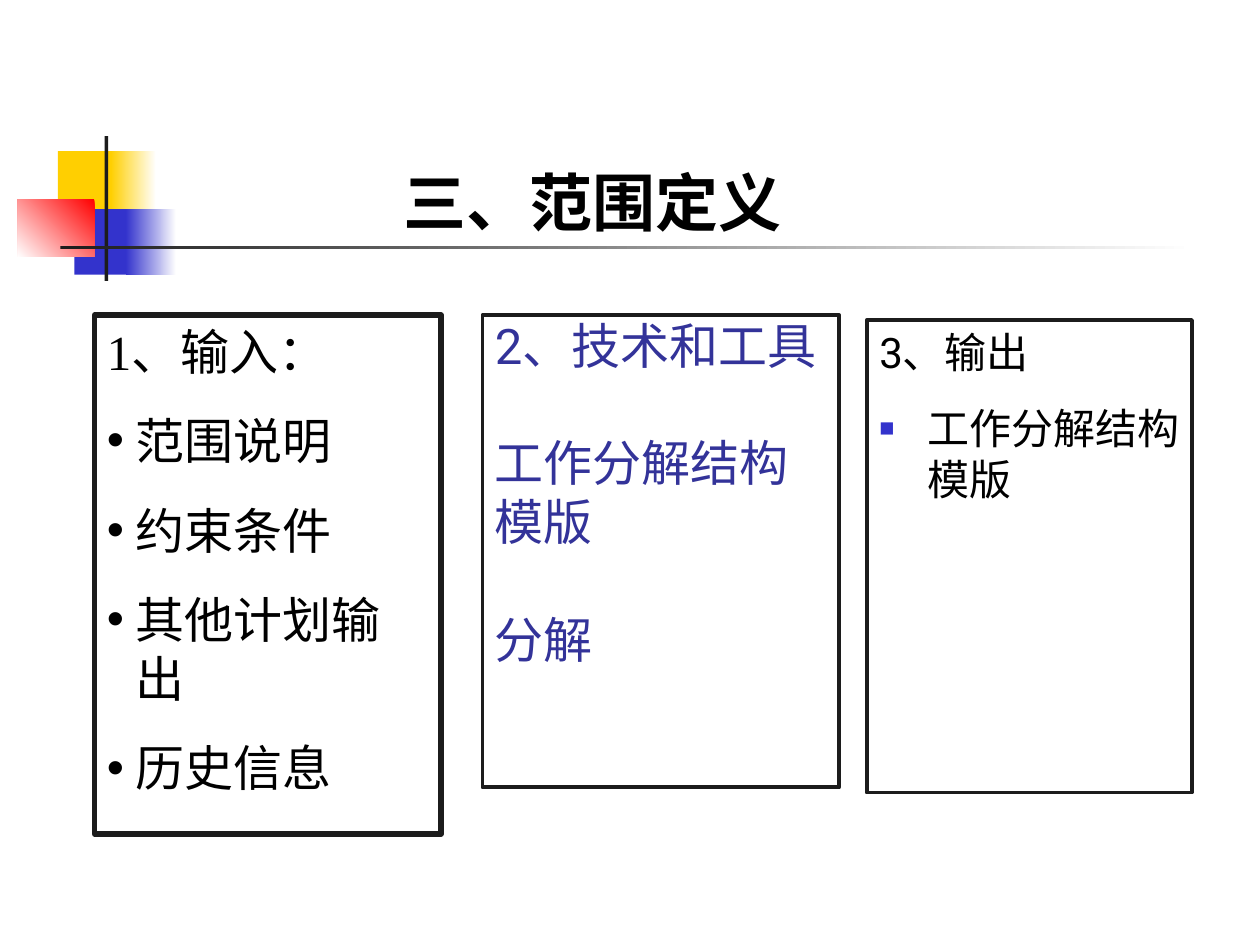
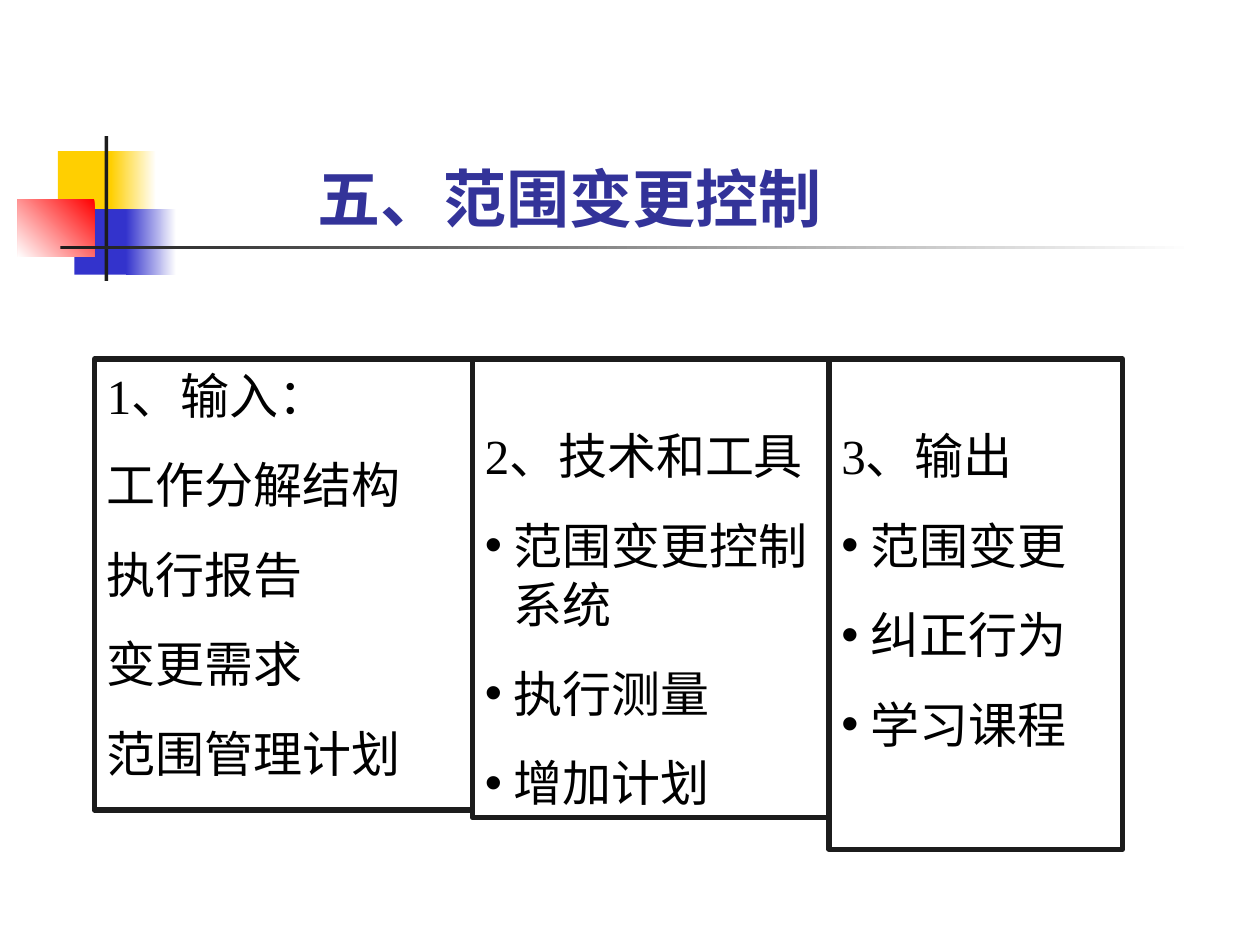
from lxml.etree import SubElement
from pptx import Presentation
from pptx.dml.color import RGBColor
from pptx.enum.shapes import MSO_SHAPE
from pptx.enum.text import MSO_ANCHOR, MSO_AUTO_SIZE, PP_ALIGN
from pptx.oxml.ns import qn
from pptx.util import Inches, Pt

BLACK = RGBColor(0x00, 0x00, 0x00)
INK = RGBColor(0x1C, 0x1C, 0x1C)
WHITE = RGBColor(0xFF, 0xFF, 0xFF)
GOLD = RGBColor(0xFF, 0xCF, 0x01)
BLUE = RGBColor(0x33, 0x33, 0xCC)
NAVY = RGBColor(0x33, 0x33, 0x99)
RED = RGBColor(0xFF, 0x00, 0x00)
SERIF = "Times New Roman"
SANS = "Roboto"

# Corner motif: left, top, width, height, colour, angle of the fade to white
MOTIF = [
    (0.46, 1.2, 0.48, 0.52, GOLD, None),
    (0.88, 1.2, 0.36, 0.52, GOLD, 0),
    (0.59, 1.66, 0.46, 0.52, BLUE, None),
    (1, 1.66, 0.4, 0.52, BLUE, 0),
    (0.14, 1.58, 0.61, 0.46, RED, 225),
    (0.83, 1.08, 0.03, 1.15, INK, None),
    (0.48, 1.95, 9, 0.03, INK, 0),
]


def add_rect(slide, left, top, width, height):
    rect = slide.shapes.add_shape(MSO_SHAPE.RECTANGLE, Inches(left), Inches(top),
                                  Inches(width), Inches(height))
    rect.shadow.inherit = False
    return rect


def add_motif(slide):
    """Draw the motif and hand it to the layout that the slides share."""
    tree = slide.slide_layout.shapes.element
    for index, (left, top, width, height, color, angle) in enumerate(MOTIF):
        rect = add_rect(slide, left, top, width, height)
        rect.line.fill.background()
        if angle is None:
            rect.fill.solid()
            rect.fill.fore_color.rgb = color
        else:
            rect.fill.gradient()
            rect.fill.gradient_angle = angle
            for stop, shade in zip(rect.fill.gradient_stops, (color, WHITE)):
                stop.color.rgb = shade
        rect.element.nvSpPr.cNvPr.id = 20 + index
        tree.append(rect.element)


def set_font(para, name, size, color, bold=False):
    font = para.font
    font.name, font.size, font.bold = name, Pt(size), bold
    font.color.rgb = color


def set_title(slide, text, left, top, width, height, name, color, align, anchor):
    title = slide.shapes.title
    title.left, title.top = Inches(left), Inches(top)
    title.width, title.height = Inches(width), Inches(height)
    frame = title.text_frame
    frame.text = text
    frame.word_wrap = True
    frame.auto_size = MSO_AUTO_SIZE.NONE
    frame.vertical_anchor = anchor
    para = frame.paragraphs[0]
    para.alignment = align
    set_font(para, name, 36, color, True)


def add_bullet(para, char, color, size, indent):
    props = para._p.get_or_add_pPr()
    props.set("marL", str(Inches(indent)))
    props.set("indent", str(-Inches(indent)))
    SubElement(SubElement(props, qn("a:buClr")), qn("a:srgbClr"), val=str(color))
    SubElement(props, qn("a:buSzPct"), val=str(size * 1000))
    SubElement(props, qn("a:buFont"), typeface="Arial")
    SubElement(props, qn("a:buChar"), char=char)


def add_panel(slide, place, lines, bullet=None, name=SERIF, size=28,
              color=BLACK, gap=17.5, inset=0.05, weight=3):
    """Framed list: the first line is the heading, the rest are its items."""
    panel = add_rect(slide, *place)
    panel.fill.background()
    panel.line.color.rgb = INK
    panel.line.width = Pt(weight)
    frame = panel.text_frame
    frame.word_wrap = True
    frame.vertical_anchor = MSO_ANCHOR.TOP
    frame.margin_top = Inches(inset)
    frame.text = "\n".join(lines)
    for index, para in enumerate(frame.paragraphs):
        para.alignment = PP_ALIGN.LEFT
        if index:
            para.space_before = Pt(gap)
            if bullet:
                add_bullet(para, *bullet)
        set_font(para, name, size, color)


def main():
    deck = Presentation()
    deck.slide_width, deck.slide_height = Inches(10), Inches(7.5)
    layout = deck.slide_layouts[5]
    dot = ("•", BLACK, 100, 0.23)
    square = ("■", BLUE, 60, 0.38)

    # Scope definition
    slide = deck.slides.add_slide(layout)
    add_motif(slide)
    set_title(slide, "三、范围定义", 2.08, 1.25, 5.25, 0.58, SERIF, BLACK,
              PP_ALIGN.CENTER, MSO_ANCHOR.TOP)
    add_panel(slide, (0.75, 2.5, 2.75, 4.12),
              ["1、输入：", "范围说明", "约束条件", "其他计划输出", "历史信息"], dot)
    add_panel(slide, (3.83, 2.5, 2.83, 3.75),
              ["2、技术和工具", "工作分解结构模版", "分解"],
              name=SANS, color=NAVY, gap=33.6, inset=0, weight=2.25)
    add_panel(slide, (6.88, 2.54, 2.58, 3.75), ["3、输出", "工作分解结构模版"],
              square, name=SANS, size=24, gap=15, weight=2.25)

    # Scope change control
    slide = deck.slides.add_slide(layout)
    set_title(slide, "五、范围变更控制", 2.42, 1.08, 4.66, 0.84, SANS, NAVY,
              PP_ALIGN.LEFT, MSO_ANCHOR.BOTTOM)
    add_panel(slide, (0.75, 2.85, 3, 3.58),
              ["1、输入：", "工作分解结构", "执行报告", "变更需求", "范围管理计划"])
    add_panel(slide, (6.58, 2.85, 2.33, 3.89),
              ["3、输出", "范围变更", "纠正行为", "学习课程"], dot, inset=0.53)
    add_panel(slide, (3.75, 2.85, 2.83, 3.64),
              ["2、技术和工具", "范围变更控制系统", "执行测量", "增加计划"],
              dot, inset=0.53)

    deck.save("out.pptx")


if __name__ == "__main__":
    main()
